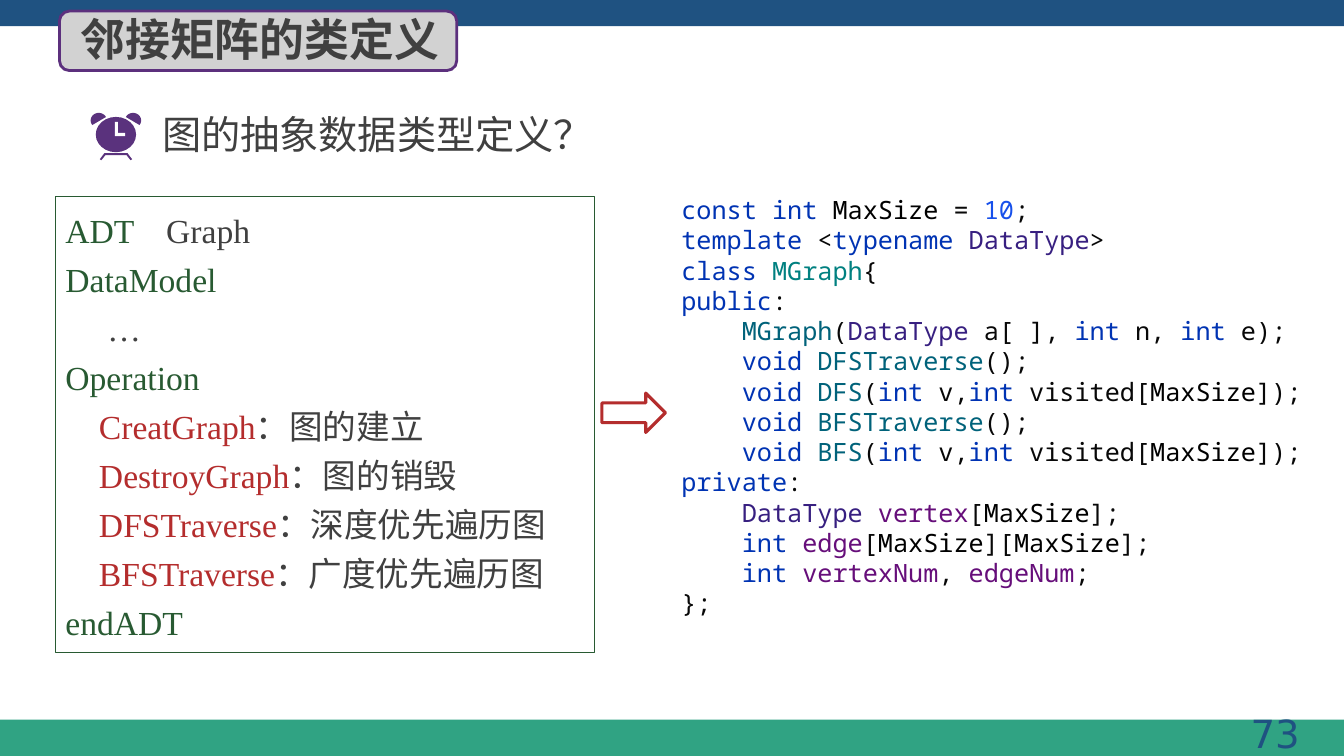
from math import cos, radians, sin

from lxml import etree
from pptx import Presentation
from pptx.dml.color import RGBColor
from pptx.enum.shapes import MSO_SHAPE
from pptx.enum.text import MSO_ANCHOR, PP_ALIGN
from pptx.oxml.ns import qn
from pptx.util import Inches, Pt

RECT, ROUND = MSO_SHAPE.RECTANGLE, MSO_SHAPE.ROUNDED_RECTANGLE
OVAL, ARROW = MSO_SHAPE.OVAL, MSO_SHAPE.RIGHT_ARROW
LEFT, RIGHT = PP_ALIGN.LEFT, PP_ALIGN.RIGHT
TOP, MIDDLE = MSO_ANCHOR.TOP, MSO_ANCHOR.MIDDLE
HAN, SERIF, MONO, SANS = "Noto Sans CJK SC", "Times New Roman", "Noto Sans Mono", "DejaVu Sans"

COLORS = {
    "blue": "1F5281", "teal": "30A383", "white": "FFFFFF", "grey": "D2D2D2",
    "frame": "5C307D", "clock": "5A327D",
    "d": "404040", "g": "285A32", "r": "B42D2D",
    "k": "0033B3", "v": "000000", "o": "080808", "n": "1750EB",
    "t": "371F80", "c": "008080", "f": "00627A", "m": "660E7A",
}


class Board:
    cell = Inches(0.1)

    def __init__(self, deck):
        self.slide = deck.slides.add_slide(deck.slide_layouts[6])
        self.shapes = self.slide.shapes

    def grid(self, *cells):
        return [round(cell * self.cell) for cell in cells]

    def color(self, key):
        return RGBColor.from_string(COLORS[key])

    def paint(self, shape, fill, line, width):
        shape.shadow.inherit = False
        if fill:
            shape.fill.solid()
            shape.fill.fore_color.rgb = self.color(fill)
        else:
            shape.fill.background()
        if line:
            shape.line.color.rgb = self.color(line)
            shape.line.width = Pt(width)
        else:
            shape.line.fill.background()
        return shape

    def shape(self, kind, area, fill=None, line=None, width=1):
        return self.paint(self.shapes.add_shape(kind, *self.grid(*area)), fill, line, width)

    def outline(self, points, fill):
        first, *rest = [self.grid(*point) for point in points]
        form = self.shapes.build_freeform(*first)
        form.add_line_segments(rest, close=True)
        self.paint(form.convert_to_shape(), fill, None, 0)

    def label(self, area, text, face, size, **style):
        box = self.shapes.add_textbox(*self.grid(*area))
        self.letter(box, [text], face, size, **style)

    def letter(self, shape, lines, face, size, align=LEFT, anchor=TOP,
               bold=False, space=None, indents=None, tab=None):
        frame = shape.text_frame
        frame.word_wrap = True
        frame.vertical_anchor = anchor
        for i, line in enumerate(lines):
            para = frame.add_paragraph() if i else frame.paragraphs[0]
            para.alignment = align
            if space:
                para.line_spacing = Pt(space)
            props = para._p.get_or_add_pPr()
            if indents:
                props.set("marL", str(Pt(indents[i])))
                props.set("indent", "0")
            if tab and "\t" in line:
                stops = etree.SubElement(props, qn("a:tabLst"))
                etree.SubElement(stops, qn("a:tab"), pos=str(self.grid(tab)[0]), algn="l")
            font = para.font
            font.name, font.size, font.bold = face, Pt(size), bold
            parts = [part.partition(":")[::2] for part in line.split("|")]
            for key, text in parts:
                run = para.add_run()
                run.text = text
                if len(parts) > 1:
                    run.font.color.rgb = self.color(key)
            if len(parts) == 1:
                font.color.rgb = self.color(parts[0][0])
            if face in (HAN, SERIF):
                etree.SubElement(props.find(qn("a:defRPr")), qn("a:ea"), typeface=HAN)


deck = Presentation()
deck.slide_width, deck.slide_height = Inches(13.33), Inches(7.5)
board = Board(deck)

board.shape(RECT, (0, 71.4, 133.3, 3.6), "teal")
board.shape(RECT, (0, 0, 133.3, 2.6), "blue")
board.label((100.5, 69.9, 29.4, 5.7), "blue:73", SANS, 27.6, align=RIGHT)

board.shape(ROUND, (5.9, 1.1, 39.4, 5.9), "grey", "frame", 2)
board.label((7, 0.7, 39, 6.4), "d:邻接矩阵的类定义", HAN, 32, bold=True)
board.label((15.1, 10.5, 48.3, 5.7), "d:图的抽象数据类型定义？", HAN, 28)

mid = 11.5
legs = [(9.9, 15.8), (10.35, 15.2), (12.65, 15.2), (13.1, 15.8),
        (12.95, 15.9), (12.55, 15.4), (10.45, 15.4), (10.05, 15.9)]
bell = [(9.8 + 0.8 * cos(radians(a)), 11.95 + 0.75 * sin(radians(a)))
        for a in range(143, 334, 10)]
hands = [(11.4, 12.1), (11.7, 12.1), (11.7, 13.2),
         (12.4, 13.2), (12.4, 13.5), (11.4, 13.5)]
board.outline(legs, "clock")
board.outline(bell, "clock")
board.outline([(2 * mid - x, y) for x, y in bell], "clock")
board.shape(OVAL, (9.5, 11.6, 4, 3.5), "clock")
board.outline(hands, "white")

board.shape(ARROW, (59.7, 39, 6.3, 3.9), line="r", width=2.25)

model = [
    "g:ADT|d:\tGraph",
    "g:DataModel",
    "d:…",
    "g:Operation",
    "r:CreatGraph|d:：图的建立",
    "r:DestroyGraph|d:：图的销毁",
    "r:DFSTraverse|d:：深度优先遍历图",
    "r:BFSTraverse|d:：广度优先遍历图",
    "g:endADT",
]
panel = board.shape(RECT, (5.5, 19.5, 53.5, 45.2), line="g", width=0.75)
board.letter(panel, model, SERIF, 24, space=35, tab=8.5,
             indents=[0, 0, 30, 0, 24, 24, 24, 24, 0])

code = [
    "k:const int |v:MaxSize |o:= |n:10|o:;",
    "k:template |o:<|k:typename |t:DataType|o:>",
    "k:class |c:MGraph|o:{",
    "k:public|o::",
    "f:    MGraph|o:(|t:DataType |o:a[ ], |k:int |o:n, |k:int |o:e);",
    "k:    void |f:DFSTraverse|o:();",
    "k:    void |f:DFS|o:(|k:int |o:v,|k:int |o:visited[|v:MaxSize|o:]);",
    "k:    void |f:BFSTraverse|o:();",
    "k:    void |f:BFS|o:(|k:int |o:v,|k:int |o:visited[|v:MaxSize|o:]);",
    "k:private|o::",
    "t:    DataType |m:vertex|o:[|v:MaxSize|o:];",
    "k:    int |m:edge|o:[|v:MaxSize|o:][|v:MaxSize|o:];",
    "k:    int |m:vertexNum|o:, |m:edgeNum|o:;",
    "o:};",
]
panel = board.shape(RECT, (66.6, 18.6, 64.6, 43.4), "white")
board.letter(panel, code, MONO, 18, anchor=MIDDLE)

deck.save("out.pptx")
